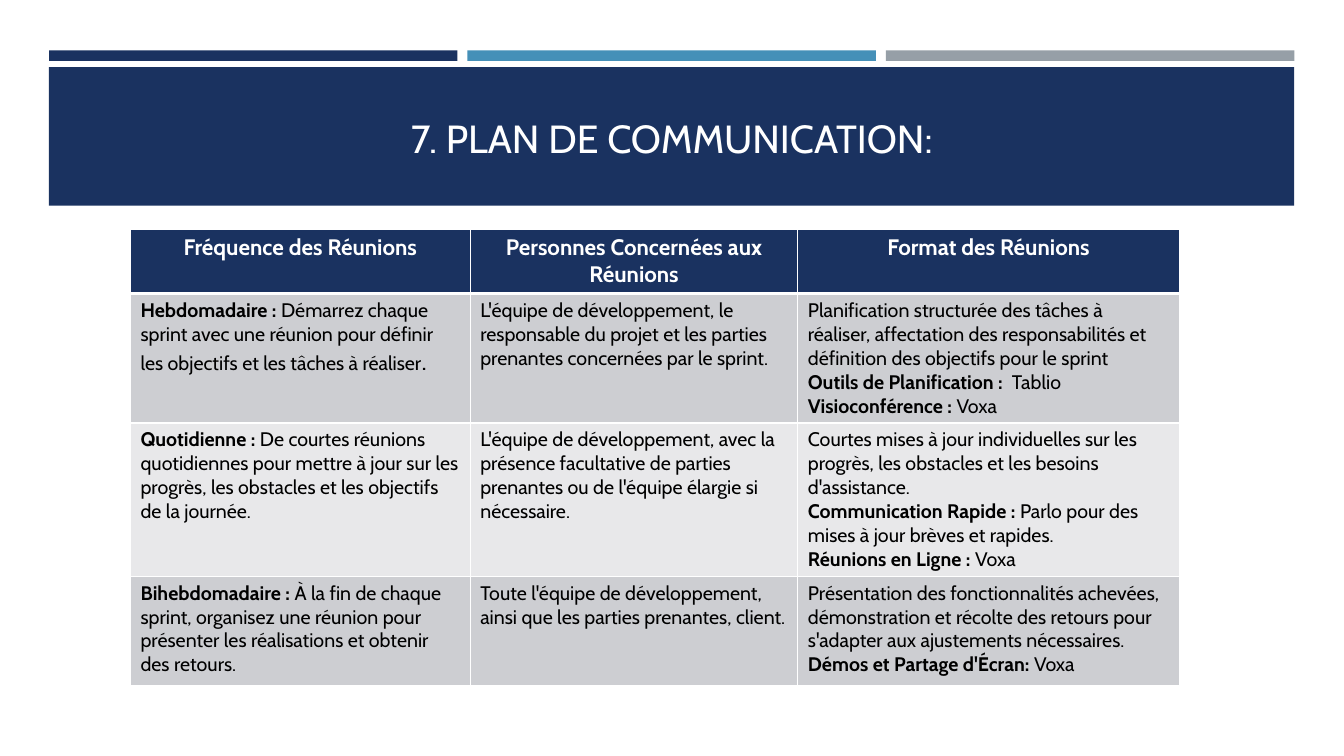
from lxml.etree import SubElement
from pptx import Presentation
from pptx.dml.color import RGBColor
from pptx.enum.shapes import MSO_SHAPE as SHAPE
from pptx.enum.text import MSO_ANCHOR as ANCHOR, PP_ALIGN as ALIGN
from pptx.oxml.ns import qn
from pptx.util import Pt

FONT = "Cabin"
NAVY = RGBColor(0x1A, 0x32, 0x60)
BLUE = RGBColor(0x45, 0x90, 0xB8)
GREY = RGBColor(0x96, 0x9F, 0xA7)
WHITE = RGBColor(0xFF, 0xFF, 0xFF)
BLACK = RGBColor(0, 0, 0)
BANDS = [RGBColor(0xCD, 0xCE, 0xD2), RGBColor(0xE8, 0xE8, 0xEA)]

HEADERS = [
    "Fréquence des Réunions",
    "Personnes Concernées aux Réunions",
    "Format des Réunions",
]
MEETINGS = [
    [
        [("Hebdomadaire :", " Démarrez chaque sprint avec une réunion pour définir les "
          "objectifs et les tâches à réaliser")],
        [("", "L'équipe de développement, le responsable du projet et les parties "
          "prenantes concernées par le sprint.")],
        [("", "Planification structurée des tâches à réaliser, affectation des "
          "responsabilités et définition des objectifs pour le sprint"),
         ("Outils de Planification :  ", "Tablio"),
         ("Visioconférence :", " Voxa")],
    ],
    [
        [("Quotidienne :", " De courtes réunions quotidiennes pour mettre à jour sur "
          "les progrès, les obstacles et les objectifs de la journée.")],
        [("", "L'équipe de développement, avec la présence facultative de parties "
          "prenantes ou de l'équipe élargie si nécessaire.")],
        [("", "Courtes mises à jour individuelles sur les progrès, les obstacles et "
          "les besoins d'assistance."),
         ("Communication Rapide :", " Parlo pour des mises à jour brèves et rapides."),
         ("Réunions en Ligne :", " Voxa")],
    ],
    [
        [("Bihebdomadaire : ", "À la fin de chaque sprint, organisez une réunion pour "
          "présenter les réalisations et obtenir des retours.")],
        [("", "Toute l'équipe de développement, ainsi que les parties prenantes, client.")],
        [("", "Présentation des fonctionnalités achevées, démonstration et récolte des "
          "retours pour s'adapter aux ajustements nécessaires."),
         ("Démos et Partage d'Écran:", " Voxa")],
    ],
]


def add_bar(s, x, y, w, h, color):
    sp = s.shapes.add_shape(SHAPE.RECTANGLE, Pt(x), Pt(y), Pt(w), Pt(h))
    sp.shadow.inherit = False
    sp.fill.solid()
    sp.fill.fore_color.rgb = color
    sp.line.fill.background()


def add_banner(s, x, y, w, h, text):
    gap, strip = 7.2, 7.5
    bar = (w - 2 * gap) / 3
    for i, color in enumerate([NAVY, BLUE, GREY]):
        add_bar(s, x + i * (bar + gap), y, bar, strip, color)
    add_bar(s, x, y + 11.9, w, h - 11.9, NAVY)

    title = s.shapes.title
    s.shapes.element.append(title.element)
    title.left, title.top = Pt(x + 11), Pt(y + 5)
    title.width, title.height = Pt(w - 22), Pt(78)
    tf = title.text_frame
    tf.word_wrap = True
    tf.vertical_anchor = ANCHOR.BOTTOM
    tf.text = text
    p = tf.paragraphs[0]
    p.alignment = ALIGN.CENTER
    p.font.name, p.font.size = FONT, Pt(28)
    p.font.color.rgb = WHITE


def style_cell(cell, fill, bottom=1):
    pr = cell._tc.get_or_add_tcPr()
    for side, width in [("lnL", 1), ("lnR", 1), ("lnT", 1), ("lnB", bottom)]:
        ln = SubElement(pr, qn("a:" + side), w=str(Pt(width)))
        SubElement(SubElement(ln, qn("a:solidFill")), qn("a:srgbClr"), val=str(WHITE))
    cell.fill.solid()
    cell.fill.fore_color.rgb = fill


def style_paragraph(p, size, color):
    p.font.name, p.font.size = FONT, Pt(size)
    p.font.color.rgb = color


def add_run(p, text, size, bold=False):
    r = p.add_run()
    r.text = text
    r.font.name, r.font.size, r.font.bold = FONT, Pt(size), bold
    r.font.color.rgb = BLACK


def fill_cell(cell, lines):
    tf = cell.text_frame
    for i, (label, text) in enumerate(lines):
        p = tf.add_paragraph() if i else tf.paragraphs[0]
        style_paragraph(p, 14, BLACK)
        if label:
            add_run(p, label, 14, True)
        add_run(p, text, 14)


def add_meetings(s, x, y, widths, heights):
    frame = s.shapes.add_table(len(heights), len(widths), Pt(x), Pt(y),
                               Pt(sum(widths)), Pt(sum(heights)))
    table = frame.table
    for col, w in zip(table.columns, widths):
        col.width = Pt(w)
    for row, h in zip(table.rows, heights):
        row.height = Pt(h)
    for c, text in enumerate(HEADERS):
        cell = table.cell(0, c)
        style_cell(cell, NAVY, 3)
        cell.text = text
        p = cell.text_frame.paragraphs[0]
        p.alignment = ALIGN.CENTER
        style_paragraph(p, 16, WHITE)
        p.font.bold = True
    for r, meeting in enumerate(MEETINGS):
        for c, lines in enumerate(meeting):
            cell = table.cell(r + 1, c)
            style_cell(cell, BANDS[r % 2])
            fill_cell(cell, lines)
    add_run(table.cell(1, 0).text_frame.paragraphs[0], ".", 18)


def main():
    prs = Presentation()
    prs.slide_width, prs.slide_height = Pt(960), Pt(540)
    s = prs.slides.add_slide(prs.slide_layouts[5])
    add_banner(s, 35, 36, 889.5, 111, "7. PLAN DE COMMUNICATION:")
    add_meetings(s, 93.2, 163.8, [242.7, 234, 272.5], [41, 86, 105, 78.5])
    prs.save("out.pptx")


if __name__ == "__main__":
    main()
